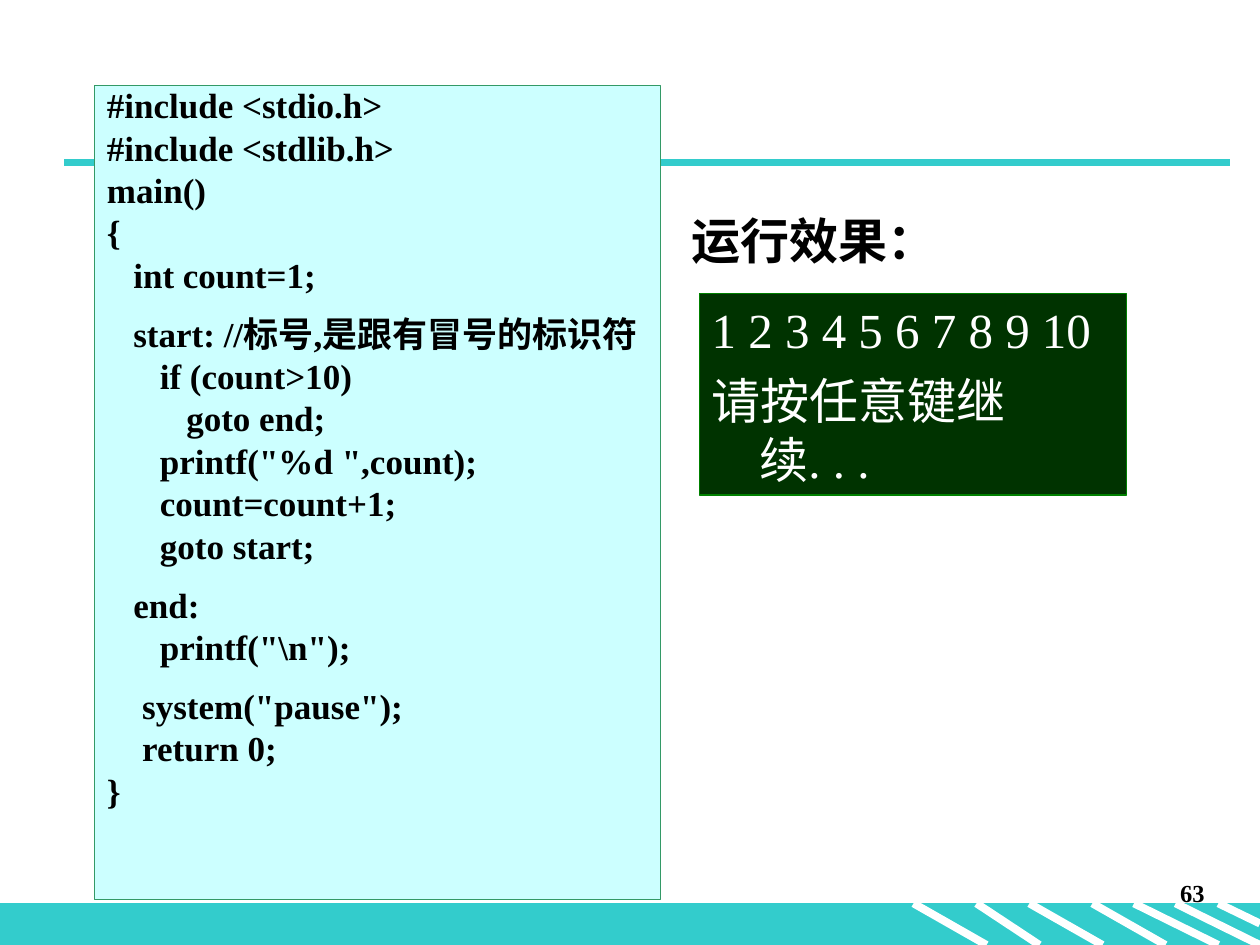
from typing import NamedTuple

from lxml import etree
from pptx import Presentation
from pptx import util as u
from pptx.dml.color import RGBColor
from pptx.enum import shapes, text
from pptx.oxml import ns

TEAL, WHITE, BLACK = "33CCCC", "FFFFFF", "000000"
FONT = "Times New Roman"
HANGING = 0.38
SPACE_WIDTH = 0.07  # one space of the 20 pt code font
BAND_TOP = 7.17


class Area(NamedTuple):
    left: float
    top: float
    width: float
    height: float


class Stroke(NamedTuple):
    x1: float
    y1: float
    x2: float
    y2: float
    color: str


class CodeLine(NamedTuple):
    words: str
    spaces: int = 0
    before: float = 5


def rgb(value: str) -> RGBColor:
    return RGBColor.from_string(value)


def add_panel(page, area: Area, fill: str, line: str):
    box = page.shapes.add_shape(
        shapes.MSO_SHAPE.RECTANGLE, *(u.Inches(length) for length in area))
    box.shadow.inherit = False
    box.fill.solid()
    box.fill.fore_color.rgb = rgb(fill)
    box.line.color.rgb = rgb(line)
    box.line.width = u.Pt(0.75)
    return box


def add_stroke(page, stroke: Stroke) -> None:
    ends = (u.Inches(length) for length in stroke[:4])
    line = page.shapes.add_connector(shapes.MSO_CONNECTOR.STRAIGHT, *ends)
    line.line.color.rgb = rgb(stroke.color)
    line.line.width = u.Pt(4.5)
    etree.SubElement(line._element.spPr, ns.qn("a:effectLst"))


def add_text_box(page, area: Area):
    return page.shapes.add_textbox(*(u.Inches(length) for length in area))


def prepare_text(box, grow: bool = False) -> None:
    frame = box.text_frame
    frame.word_wrap = True
    frame.vertical_anchor = text.MSO_ANCHOR.TOP
    if grow:
        frame.auto_size = text.MSO_AUTO_SIZE.SHAPE_TO_FIT_TEXT


def write(box, words: str, *, size: float, color: str = BLACK,
          bold: bool = False, before: float = 0, spacing: float = 1.0,
          hanging: float = 0, first: float = 0,
          align=text.PP_ALIGN.LEFT) -> None:
    """Add one paragraph; first is where its first line starts, in inches."""
    frame = box.text_frame
    para = frame.paragraphs[0]
    if para.runs:
        para = frame.add_paragraph()
    para.alignment = align
    para.space_before = u.Pt(before)
    para.line_spacing = spacing
    properties = para._p.get_or_add_pPr()
    properties.set("marL", str(u.Inches(hanging)))
    properties.set("indent", str(u.Inches(first - hanging)))
    span = para.add_run()
    span.text = words
    span.font.name = FONT
    span.font.size = u.Pt(size)
    span.font.bold = bold
    span.font.color.rgb = rgb(color)


GAP = 14.5  # space above a new block of code
CODE = [
    CodeLine("#include <stdio.h>"),
    CodeLine("#include <stdlib.h>"),
    CodeLine("main()"),
    CodeLine("{"),
    CodeLine("int count=1;", 3),
    CodeLine("start: //标号,是跟有冒号的标识符", 3, GAP),
    CodeLine("if (count>10)", 6),
    CodeLine("goto end;", 9),
    CodeLine('printf("%d ",count);', 6),
    CodeLine("count=count+1;", 6),
    CodeLine("goto start;", 6),
    CodeLine("end:", 3, GAP),
    CodeLine('printf("\\n");', 6),
    CodeLine('system("pause");', 4, GAP),
    CodeLine("return 0;", 4),
    CodeLine("}"),
]

STRIPES = [
    Stroke(start, BAND_TOP, end, bottom, WHITE)
    for start, end, bottom in [
        (7.25, 7.83, 7.5), (7.75, 8.25, 7.5), (8.17, 8.75, 7.5),
        (8.67, 9.25, 7.5), (9, 9.67, 7.5), (9.33, 10, 7.5),
        (9.67, 10, 7.33)]
]


def main() -> None:
    deck = Presentation()
    deck.slide_width, deck.slide_height = u.Inches(10), u.Inches(7.5)
    page = deck.slides.add_slide(deck.slide_layouts[6])

    # Striped footer band and title rule
    add_panel(page, Area(0, BAND_TOP, 10, 0.33), TEAL, TEAL)
    for stroke in [*STRIPES, Stroke(0.51, 1.29, 9.76, 1.29, TEAL)]:
        add_stroke(page, stroke)

    # Page number
    number = add_text_box(page, Area(7.58, 6.92, 2.08, 0.5))
    prepare_text(number)
    write(number, "63", size=14, bold=True, before=8.8,
          align=text.PP_ALIGN.RIGHT)

    # Program listing
    listing = add_panel(page, Area(0.75, 0.68, 4.49, 6.46), "CCFFFF", "339966")
    prepare_text(listing)
    for line in CODE:
        write(listing, line.words, size=20, bold=True, before=line.before,
              spacing=0.8, hanging=HANGING, first=line.spaces * SPACE_WIDTH)

    # Console output
    console = add_panel(page, Area(5.55, 2.33, 3.39, 1.6), "003300", "008000")
    prepare_text(console, grow=True)
    for words in ("1 2 3 4 5 6 7 8 9 10", "请按任意键继续. . ."):
        write(console, words, size=28, color=WHITE, before=7, hanging=HANGING)

    # Caption above the console
    caption = add_text_box(page, Area(5.39, 1.62, 2.91, 0.57))
    prepare_text(caption, grow=True)
    write(caption, "运行效果：", size=28, bold=True, before=17.5,
          hanging=HANGING)

    deck.save("out.pptx")


if __name__ == "__main__":
    main()
